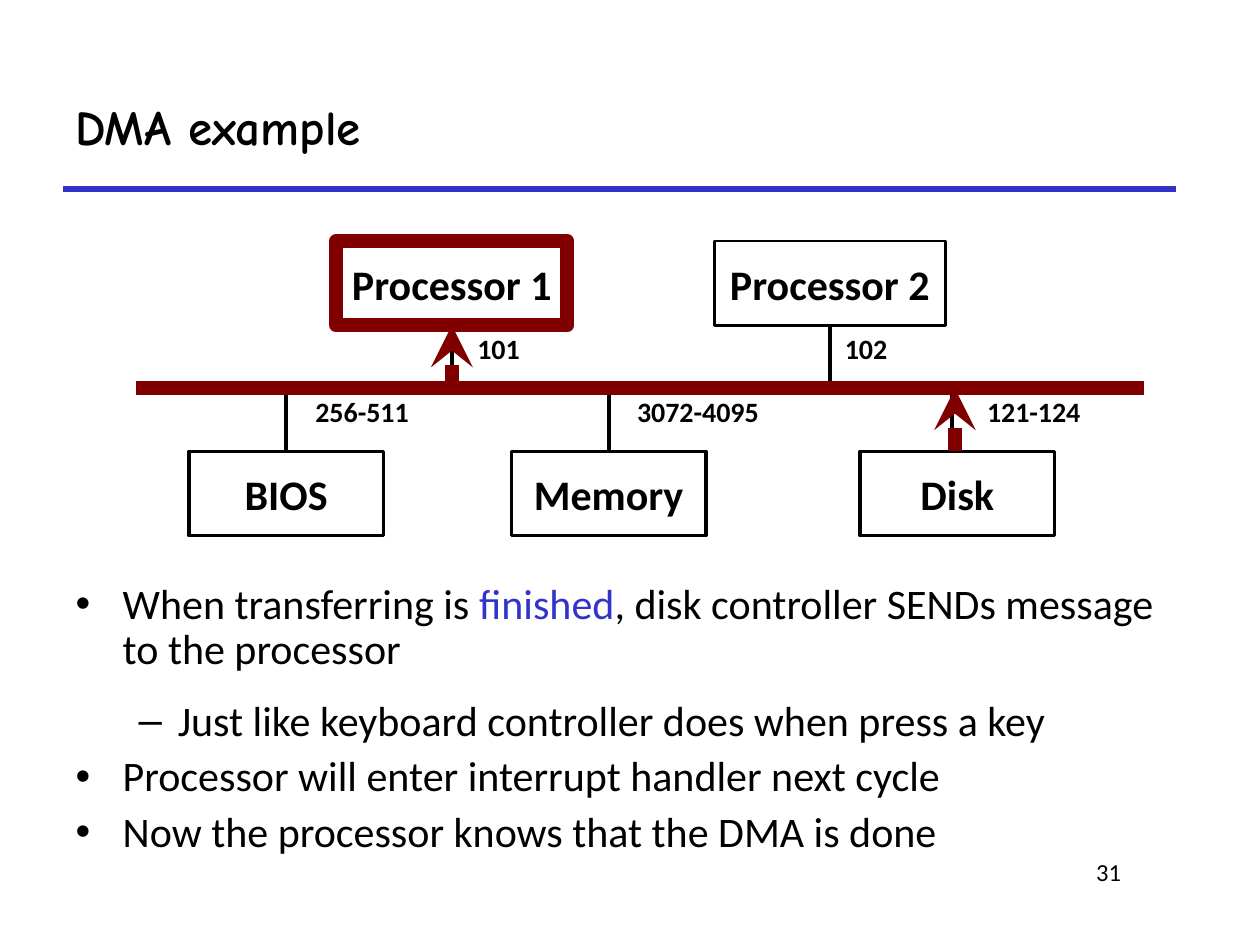
from lxml.etree import SubElement
from pptx import Presentation
from pptx.dml.color import RGBColor
from pptx.enum.shapes import MSO_CONNECTOR, MSO_SHAPE
from pptx.enum.text import MSO_ANCHOR, MSO_AUTO_SIZE, PP_ALIGN
from pptx.oxml.ns import qn
from pptx.util import Cm, Pt

BLACK, BLUE, RED, WHITE = "000000", "3333CC", "800000", "FFFFFF"


def paint(target, color):
    target.rgb = RGBColor.from_string(color)


def style(para, size, bold=False, face="Calibri", color=BLACK):
    for run in para.runs:
        run.font.size, run.font.bold, run.font.name = Pt(size), bold, face
        paint(run.font.color, color)


def place(shape, box):
    shape.left, shape.top, shape.width, shape.height = map(Cm, box)


def line(slide, start, end, color, width, arrow=False):
    link = slide.shapes.add_connector(
        MSO_CONNECTOR.STRAIGHT, *map(Cm, start + end))
    paint(link.line.color, color)
    link.line.width = Pt(width)
    props = link._element.spPr
    if arrow:
        SubElement(link.line._get_or_add_ln(), qn("a:tailEnd"), type="stealth")
    SubElement(props, qn("a:effectLst"))


def note(slide, box, text, size, align, bold=False):
    shape = slide.shapes.add_textbox(*map(Cm, box))
    frame = shape.text_frame
    frame.word_wrap = True
    frame.text = text
    para = frame.paragraphs[0]
    para.alignment = align
    style(para, size, bold)


def node(slide, box, text, color, width, fill=None):
    shape = slide.shapes.add_shape(MSO_SHAPE.RECTANGLE, *map(Cm, box))
    shape.shadow.inherit = False
    if fill:
        shape.fill.solid()
        paint(shape.fill.fore_color, fill)
    else:
        shape.fill.background()
    paint(shape.line.color, color)
    shape.line.width = Pt(width)
    frame = shape.text_frame
    frame.word_wrap = False
    frame.vertical_anchor = MSO_ANCHOR.MIDDLE
    frame.text = text
    para = frame.paragraphs[0]
    para.alignment = PP_ALIGN.CENTER
    style(para, 24, True)


def head(slide, box):
    x, y, w, h = box
    line(slide, (x, y + h), (x + w, y + h), BLUE, 3)
    title = slide.shapes.title
    place(title, box)
    frame = title.text_frame
    frame.text = "DMA example"
    frame.vertical_anchor = MSO_ANCHOR.MIDDLE
    para = frame.paragraphs[0]
    para.alignment = PP_ALIGN.LEFT
    style(para, 28, True, "Comic Neue")


def scene(slide, box):
    x, y, w, h = box
    tall, gap, tag = 1.7, 1.27, 0.94
    bus = y + tall + gap
    low = bus + gap

    # Processors: name, centre, label, label shift, frame colour and width
    for name, mid, text, shift, color, width in (
            ("Processor 1", 6.37, "101", 0.94, RED, 8),
            ("Processor 2", 13.99, "102", 0.73, BLACK, 1.5)):
        mid += x
        line(slide, (mid, y + tall), (mid, bus), BLACK, 2.25)
        node(slide, (mid - 2.33, y, 4.66, tall), name, color, width)
        note(slide, (mid + shift - 0.95, y + tall, 1.9, tag),
             text, 16, PP_ALIGN.CENTER, True)

    # Devices: name, centre, wire shift, label, label shift and width
    for name, mid, wire, text, shift, wide in (
            ("BIOS", 3.03, 0, "256-511", 1.53, 3.18),
            ("Memory", 9.53, 0, "3072-4095", 1.8, 3.6),
            ("Disk", 16.56, -0.1, "121-124", 1.54, 3.18)):
        mid += x
        node(slide, (mid - 1.96, low, 3.92, tall), name, BLACK, 2, WHITE)
        line(slide, (mid + wire, bus), (mid + wire, low), BLACK, 2.25)
        note(slide, (mid + shift - wide / 2, bus, wide, tag),
             text, 16, PP_ALIGN.CENTER, True)

    # Bus and the message on its way from disk to processor
    line(slide, (x + w, bus), (x, bus), RED, 8)
    for mid, start in ((6.37, bus), (16.51, low)):
        line(slide, (x + mid, start), (x + mid, start - gap), RED, 8, True)


def points(slide, box):
    body = slide.placeholders[1]
    place(body, box)
    frame = body.text_frame
    frame.auto_size = MSO_AUTO_SIZE.NONE
    frame.vertical_anchor = MSO_ANCHOR.TOP
    items = (
        (0, ("When transferring is ", "finished",
             ", disk controller SENDs message to the processor")),
        (1, ("Just like keyboard controller does when press a key",)),
        (0, ("Processor will enter interrupt handler next cycle",)),
        (0, ("Now the processor knows that the DMA is done",)))
    looks = (("•", 0.95, 0.95, 0.9), ("–", 2.06, 0.79, 1.2))
    for i, (level, parts) in enumerate(items):
        para = frame.add_paragraph() if i else frame.paragraphs[0]
        mark, left, hang, space = looks[level]
        para.level = level
        para.line_spacing = space
        para.space_before = Pt(6 if i else 0)
        props = para._p.get_or_add_pPr()
        props.set("marL", str(Cm(left)))
        props.set("indent", str(-Cm(hang)))
        SubElement(props, qn("a:buChar"), char=mark)
        for part in parts:
            para.add_run().text = part
        style(para, 24)
        if len(parts) > 1:
            paint(para.runs[1].font.color, BLUE)


def main():
    deck = Presentation()
    deck.slide_width, deck.slide_height = Cm(25.4), Cm(19.05)
    slide = deck.slides.add_slide(deck.slide_layouts[1])
    head(slide, (1.27, 1.27, 22.43, 2.54))
    scene(slide, (2.74, 4.86, 20.32, 5.94))
    points(slide, (1.27, 11.63, 23.06, 6.15))
    # Page number
    note(slide, (19.25, 17.15, 3.6, 1.27), "31", 14, PP_ALIGN.RIGHT)
    deck.save("out.pptx")


if __name__ == "__main__":
    main()
